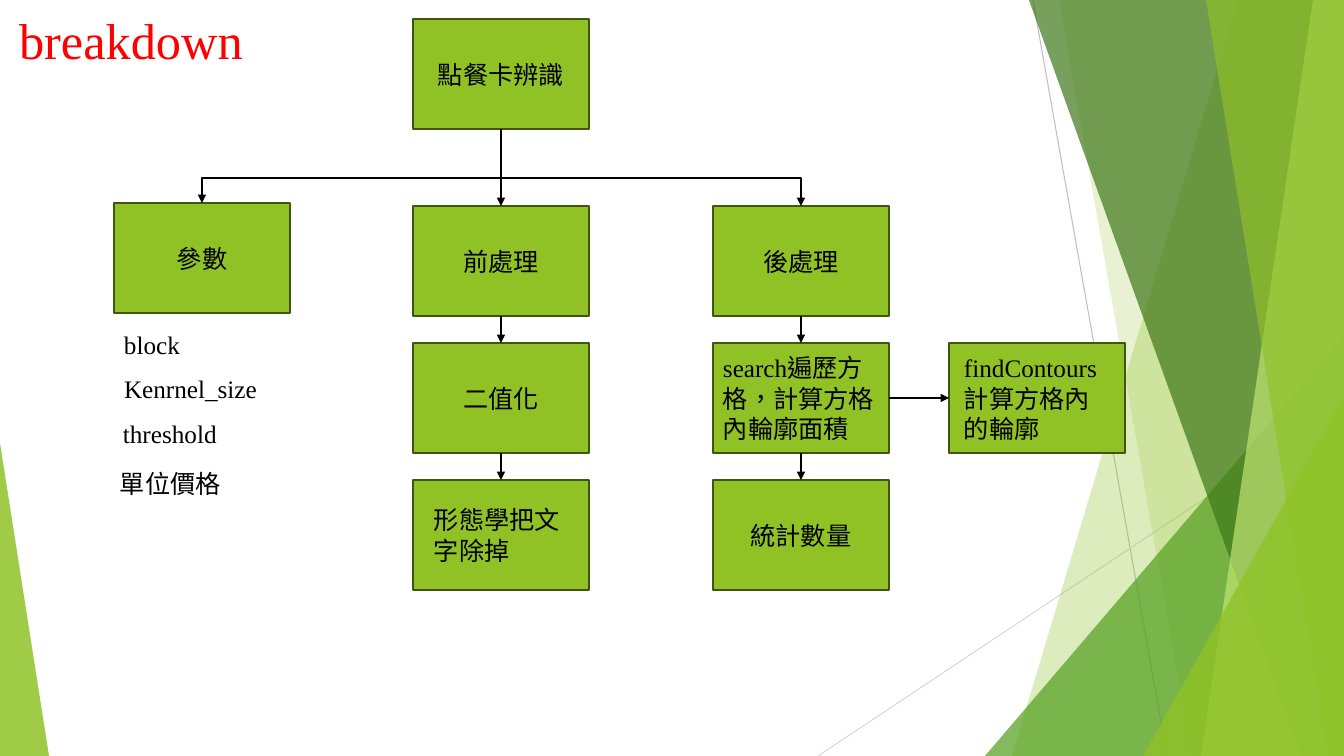
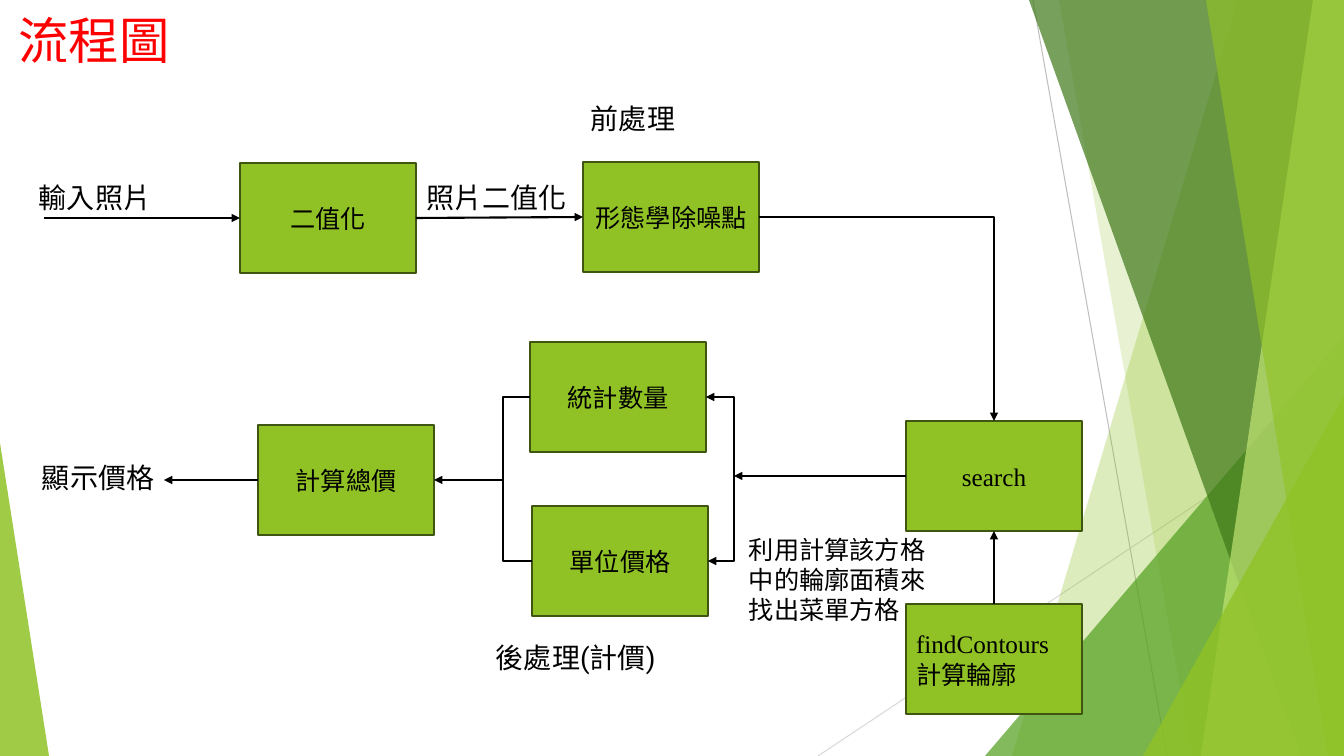
"""Build a two-slide deck: a task breakdown tree and a processing flowchart."""
from dataclasses import dataclass
from typing import NamedTuple

from lxml import etree
from pptx import Presentation
from pptx.dml.color import RGBColor
from pptx.enum.shapes import MSO_CONNECTOR, MSO_SHAPE
from pptx.enum.text import MSO_ANCHOR, PP_ALIGN
from pptx.oxml.ns import qn
from pptx.util import Emu, Pt

RECTANGLE = MSO_SHAPE.RECTANGLE
TRIANGLE = MSO_SHAPE.ISOSCELES_TRIANGLE
STRAIGHT, ELBOW = MSO_CONNECTOR.STRAIGHT, MSO_CONNECTOR.ELBOW
LEFT_ALIGNED, CENTERED = PP_ALIGN.LEFT, PP_ALIGN.CENTER
TOP_ANCHOR, MIDDLE_ANCHOR = MSO_ANCHOR.TOP, MSO_ANCHOR.MIDDLE
TOP, LEFT, BOTTOM, RIGHT = range(4)

BLACK = RGBColor(0x00, 0x00, 0x00)
RED = RGBColor(0xFF, 0x00, 0x00)
LIME = RGBColor(0x90, 0xC2, 0x26)
PALE_LIME = RGBColor(0xC0, 0xE4, 0x74)
GREEN = RGBColor(0x54, 0xA0, 0x21)
DARK_GREEN = RGBColor(0x3F, 0x78, 0x19)
OLIVE = RGBColor(0x3F, 0x55, 0x11)
GRAY = RGBColor(0xBF, 0xBF, 0xBF)
LIGHT_GRAY = RGBColor(0xD9, 0xD9, 0xD9)

SERIF, SANS, CHINESE = "Times New Roman", "Roboto", "Noto Sans CJK SC"
EMU_PER_PX = 914400 / 100.8
SLIDE_WIDTH, SLIDE_HEIGHT = 1344, 756
NODE_WIDTH, NODE_HEIGHT = 176, 110
LABEL_HEIGHT, TITLE_HEIGHT = 44, 78


def px(length: float) -> Emu:
    """Turn pixels into EMU."""
    return Emu(round(length * EMU_PER_PX))


class Facet(NamedTuple):
    """A band from a slanted left edge to the right side of the slide."""
    top_x: int
    bottom_x: int
    color: RGBColor
    opacity: int


class Wedge(NamedTuple):
    """A triangle standing on the bottom of the slide."""
    left: int
    top: int
    width: int
    apex: float
    color: RGBColor
    opacity: int


class Side(NamedTuple):
    """The middle of one side of a node."""
    node: str
    site: int


class Point(NamedTuple):
    """A free end of a connector."""
    x: int
    y: int


@dataclass(frozen=True)
class Node:
    """A green box with its text."""
    key: str
    left: int
    top: int
    text: str
    align: PP_ALIGN = CENTERED
    inset: int = 10


@dataclass(frozen=True)
class Label:
    """Free text beside the boxes."""
    left: int
    top: int
    width: int
    text: str
    size: int = 20
    latin: str = SERIF


@dataclass(frozen=True)
class Link:
    """A connector; bend is the distance from the start to the cross leg."""
    start: Side | Point
    end: Side | Point
    kind: MSO_CONNECTOR = STRAIGHT
    bend: int | None = None
    head: bool = False
    tail: bool = True


@dataclass(frozen=True)
class Page:
    """Everything that one slide shows."""
    title: str
    title_width: int
    nodes: list[Node]
    labels: list[Label]
    links: list[Link]


BACKDROP = [
    Facet(1238, 1012, LIME, 30),
    Facet(1059, 1192, LIME, 20),
    Wedge(985, 336, 359, 1, GREEN, 72),
    Facet(1029, 1301, DARK_GREEN, 70),
    Facet(1313, 1201, PALE_LIME, 70),
    Facet(1206, 1328, LIME, 65),
    Wedge(1143, 396, 201, 1, LIME, 80),
    Wedge(0, 443, 49, 0, LIME, 85),
]
BACKDROP_LINES = [
    (Point(1033, 0), Point(1167, SLIDE_HEIGHT), GRAY),
    (Point(SLIDE_WIDTH, 406), Point(818, SLIDE_HEIGHT), LIGHT_GRAY),
]

PARAMETER_X, BEFORE_X, AFTER_X, CONTOUR_X = 114, 413, 713, 949
ROWS = [206 + 137 * row for row in range(3)]

BREAKDOWN = Page(
    "breakdown", 262,
    nodes=[
        Node("root", BEFORE_X, 19, "點餐卡辨識"),
        Node("parameters", PARAMETER_X, 203, "參數"),
        Node("before", BEFORE_X, ROWS[0], "前處理"),
        Node("binarize", BEFORE_X, ROWS[1], "二值化"),
        Node("morphology", BEFORE_X, ROWS[2], "形態學把文字除掉", LEFT_ALIGNED, 21),
        Node("after", AFTER_X, ROWS[0], "後處理"),
        Node("search", AFTER_X, ROWS[1], "search遍歷方格，計算方格內輪廓面積", LEFT_ALIGNED),
        Node("count", AFTER_X, ROWS[2], "統計數量"),
        Node("contours", CONTOUR_X, ROWS[1], "findContours\v計算方格內的輪廓", LEFT_ALIGNED, 15),
    ],
    labels=[
        Label(114, 324, 90, "block", 18),
        Label(114, 368, 156, "Kenrnel_size", 18),
        Label(113, 413, 122, "threshold", 18),
        Label(110, 463, 130, "單位價格", 18),
    ],
    links=[
        Link(Side("parameters", TOP), Side("after", TOP), ELBOW, bend=-25, head=True),
        Link(Side("root", BOTTOM), Side("before", TOP)),
        Link(Side("before", BOTTOM), Side("binarize", TOP)),
        Link(Side("binarize", BOTTOM), Side("morphology", TOP)),
        Link(Side("after", BOTTOM), Side("search", TOP)),
        Link(Side("search", BOTTOM), Side("count", TOP)),
        Link(Side("search", RIGHT), Side("contours", LEFT)),
    ],
)

FLOWCHART = Page(
    "流程圖", 188,
    nodes=[
        Node("binarize", 240, 163, "二值化"),
        Node("denoise", 583, 162, "形態學除噪點"),
        Node("search", 906, 421, "search"),
        Node("contours", 906, 604, "findContours\v計算輪廓", LEFT_ALIGNED),
        Node("count", 530, 342, "統計數量"),
        Node("price", 532, 506, "單位價格"),
        Node("total", 258, 425, "計算總價"),
    ],
    labels=[
        Label(29, 175, 147, "輸入照片"),
        Label(416, 175, 166, "照片二值化"),
        Label(581, 96, 107, "前處理"),
        Label(486, 635, 192, "後處理(計價)", latin=SANS),
        Label(32, 456, 159, "顯示價格"),
        Label(739, 529, 200, "利用計算該方格中的輪廓面積來找出菜單方格", 18),
    ],
    links=[
        Link(Point(44, 218), Side("binarize", LEFT)),
        Link(Side("binarize", RIGHT), Side("denoise", LEFT)),
        Link(Side("denoise", RIGHT), Side("search", TOP), ELBOW),
        Link(Side("contours", TOP), Side("search", BOTTOM)),
        Link(Side("search", LEFT), Point(734, 476)),
        Link(Side("count", RIGHT), Side("price", RIGHT), ELBOW, bend=28, head=True),
        Link(Side("count", LEFT), Side("price", LEFT), ELBOW, bend=-27, tail=False),
        Link(Point(503, 480), Side("total", RIGHT)),
        Link(Side("total", LEFT), Point(164, 480)),
    ],
)


def write(shape, text: str, *, size: int = 18, color: RGBColor = BLACK, latin: str = SERIF,
          align: PP_ALIGN = LEFT_ALIGNED, anchor: MSO_ANCHOR = TOP_ANCHOR,
          inset: int = 10, margin: int = 5) -> None:
    """Fill a shape with one formatted paragraph."""
    frame = shape.text_frame
    frame.word_wrap = True
    frame.vertical_anchor = anchor
    frame.margin_left = frame.margin_right = px(inset)
    frame.margin_top = frame.margin_bottom = px(margin)
    paragraph = frame.paragraphs[0]
    paragraph.text = text
    paragraph.alignment = align
    for run in paragraph.runs:
        run.font.size = Pt(size)
        run.font.color.rgb = color
        run.font.name = latin
        properties = run._r.get_or_add_rPr()
        properties.set("lang", "zh-TW")
        etree.SubElement(properties, qn("a:ea")).set("typeface", CHINESE)


def style_line(connector, color: RGBColor, width: float, head: bool, tail: bool) -> None:
    """Set colour, width and arrowheads and take the shadow away."""
    connector.line.color.rgb = color
    connector.line.width = Pt(width)
    outline = connector.line._get_or_add_ln()
    for tag, shown in (("a:headEnd", head), ("a:tailEnd", tail)):
        if shown:
            etree.SubElement(outline, qn(tag)).set("type", "triangle")
    etree.SubElement(connector.element.spPr, qn("a:effectLst"))


def draw_backdrop(slide, layout) -> None:
    """Draw the green facets and place them on the layout."""
    shapes = []
    for start, end, color in BACKDROP_LINES:
        line = slide.shapes.add_connector(STRAIGHT, *map(px, (*start, *end)))
        style_line(line, color, 0.75, False, False)
        shapes.append(line)
    for part in BACKDROP:
        if isinstance(part, Facet):
            builder = slide.shapes.build_freeform(part.top_x, 0, scale=EMU_PER_PX)
            builder.add_line_segments([(SLIDE_WIDTH, 0), (SLIDE_WIDTH, SLIDE_HEIGHT),
                                       (part.bottom_x, SLIDE_HEIGHT)])
            shape = builder.convert_to_shape()
        else:
            shape = slide.shapes.add_shape(TRIANGLE, px(part.left), px(part.top),
                                           px(part.width), px(SLIDE_HEIGHT - part.top))
            shape.adjustments[0] = part.apex
        shape.shadow.inherit = False
        shape.line.fill.background()
        shape.fill.solid()
        shape.fill.fore_color.rgb = part.color
        color_element = shape.element.spPr.find(f"{qn('a:solidFill')}/{qn('a:srgbClr')}")
        etree.SubElement(color_element, qn("a:alpha")).set("val", str(part.opacity * 1000))
        shapes.append(shape)
    for shape in shapes:
        layout.shapes.element.append(shape.element)


def draw_node(slide, node: Node):
    """Draw a green box and return its shape."""
    shape = slide.shapes.add_shape(RECTANGLE, px(node.left), px(node.top),
                                   px(NODE_WIDTH), px(NODE_HEIGHT))
    shape.shadow.inherit = False
    shape.fill.solid()
    shape.fill.fore_color.rgb = LIME
    shape.line.color.rgb = OLIVE
    shape.line.width = Pt(1.5)
    write(shape, node.text, align=node.align, anchor=MIDDLE_ANCHOR, inset=node.inset, margin=0)
    return shape


def bend_elbow(connector, link: Link) -> None:
    """Route an elbow: one corner without a bend, else a cross leg at the bend."""
    geometry = connector.element.spPr.find(qn("a:prstGeom"))
    if link.bend is None:
        geometry.set("prst", "bentConnector2")
        return
    span = connector.width
    if link.start.site == TOP:
        span = connector.height
        shift = (connector.width - connector.height) // 2
        connector.left, connector.top = connector.left + shift, connector.top - shift
        connector.width, connector.height = connector.height, connector.width
        transform = connector.element.spPr.find(qn("a:xfrm"))
        transform.set("rot", "16200000")
        transform.set("flipH", "1")
    guide = etree.SubElement(geometry.get_or_add_avLst(), qn("a:gd"))
    guide.set("name", "adj1")
    guide.set("fmla", f"val {round(px(link.bend) / span * 100000)}")


def draw_link(slide, link: Link, shapes: dict) -> None:
    """Draw a connector and join its ends to the nodes."""
    free_ends = [end if isinstance(end, Point) else Point(0, 0) for end in (link.start, link.end)]
    connector = slide.shapes.add_connector(link.kind, *(px(v) for end in free_ends for v in end))
    if isinstance(link.start, Side):
        connector.begin_connect(shapes[link.start.node], link.start.site)
    if isinstance(link.end, Side):
        connector.end_connect(shapes[link.end.node], link.end.site)
    if link.kind == ELBOW:
        bend_elbow(connector, link)
    style_line(connector, BLACK, 1.5, link.head, link.tail)


def draw_page(slide, page: Page) -> None:
    """Draw the title, boxes, labels and connectors of one slide."""
    title = slide.shapes.add_textbox(0, 0, px(page.title_width), px(TITLE_HEIGHT))
    write(title, page.title, size=36, color=RED, align=CENTERED, anchor=MIDDLE_ANCHOR)
    for label in page.labels:
        box = slide.shapes.add_textbox(px(label.left), px(label.top),
                                       px(label.width), px(LABEL_HEIGHT))
        write(box, label.text, size=label.size, latin=label.latin)
    shapes = {node.key: draw_node(slide, node) for node in page.nodes}
    for link in page.links:
        draw_link(slide, link, shapes)


def main() -> None:
    """Build and save the deck."""
    presentation = Presentation()
    presentation.slide_width, presentation.slide_height = px(SLIDE_WIDTH), px(SLIDE_HEIGHT)
    layout = presentation.slide_layouts[6]
    slides = [(presentation.slides.add_slide(layout), page) for page in (BREAKDOWN, FLOWCHART)]
    draw_backdrop(slides[0][0], layout)
    for slide, page in slides:
        draw_page(slide, page)
    presentation.save("out.pptx")


if __name__ == "__main__":
    main()
